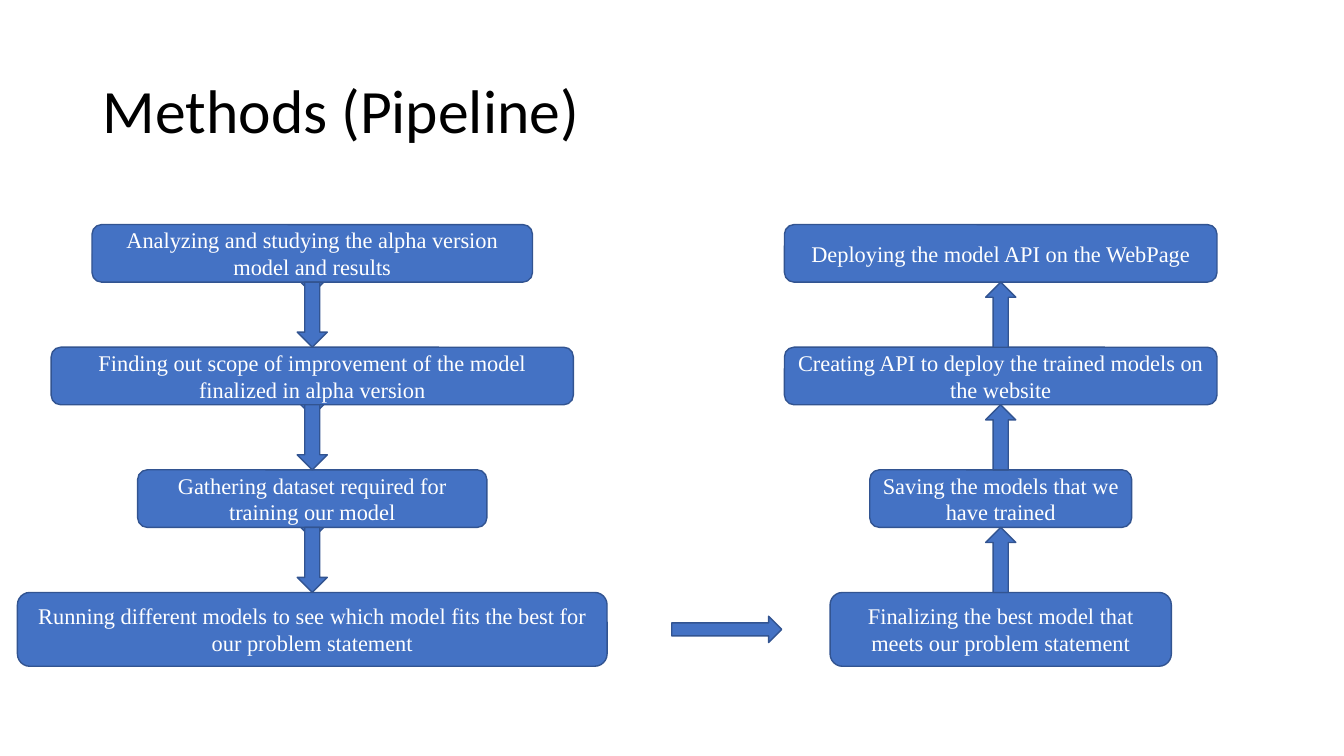
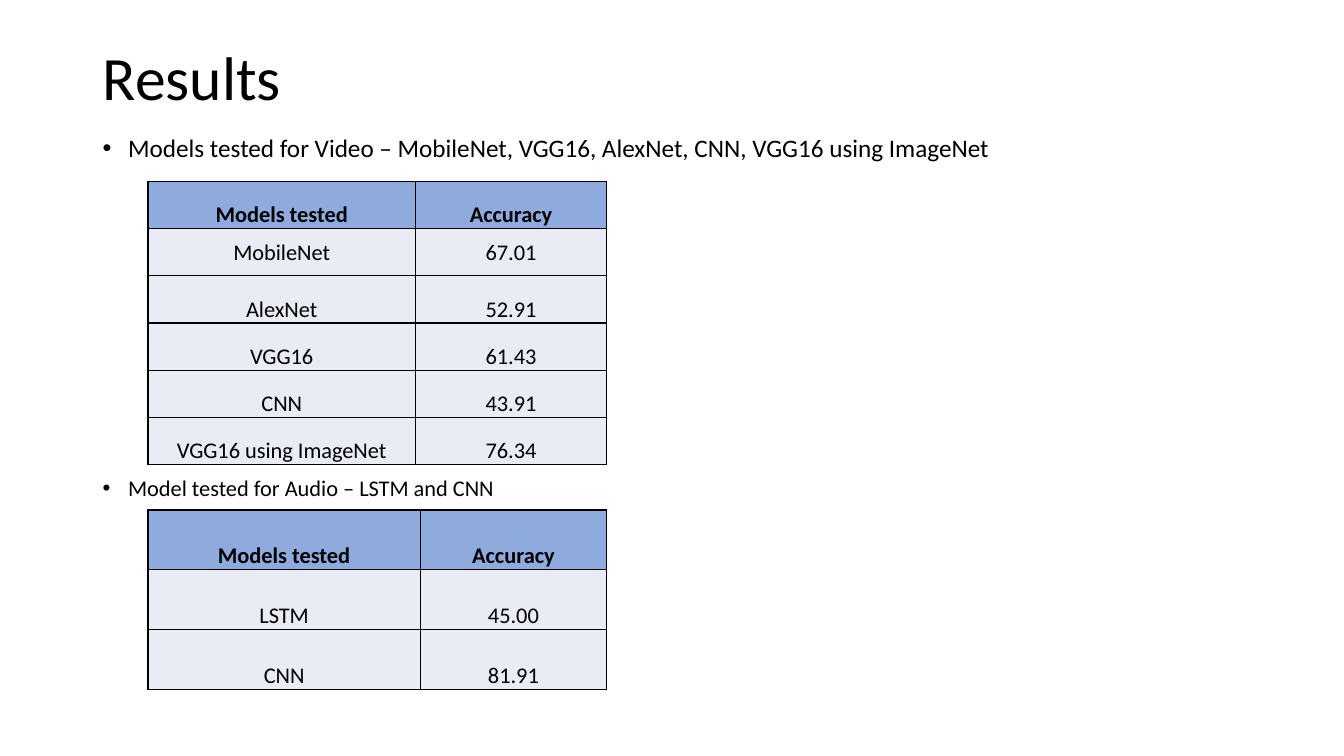
from lxml.etree import SubElement
from pptx import Presentation
from pptx.dml.color import RGBColor
from pptx.enum.shapes import MSO_SHAPE
from pptx.enum.text import MSO_ANCHOR, PP_ALIGN
from pptx.oxml.ns import qn
from pptx.util import Cm, Pt

BLACK = RGBColor(0x00, 0x00, 0x00)
WHITE = RGBColor(0xFF, 0xFF, 0xFF)
BLUE = RGBColor(0x44, 0x72, 0xC4)
DARK_BLUE = RGBColor(0x32, 0x54, 0x91)
HEADER_BLUE = RGBColor(0x8F, 0xAA, 0xDC)
PALE_BLUE = RGBColor(0xE9, 0xEB, 0xF5)
SANS, SERIF = "Calibri", "Times New Roman"

# All lengths below are centimetres.
MARGIN, CONTENT_WIDTH = 2.34, 29.2

# Each step, from top to bottom: text, width, height
LEFT_STEPS = [
    ("Analyzing and studying the alpha version model and results", 11.1, 1.45),
    ("Finding out scope of improvement of the model finalized in alpha version", 13.16, 1.45),
    ("Gathering dataset required for training our model", 8.8, 1.45),
    ("Running different models to see which model fits the best for our problem statement", 14.86, 1.86),
]
RIGHT_STEPS = [
    ("Deploying the model API on the WebPage", 10.9, 1.45),
    ("Creating API to deploy the trained models on the website", 10.9, 1.45),
    ("Saving the models that we have trained", 6.6, 1.45),
    ("Finalizing the best model that meets our problem statement", 8.6, 1.86),
]
LEFT_CENTER, RIGHT_CENTER = 7.87, 25.22
STEPS_TOP, STEP_PITCH = 5.66, 3.09
ARROW_WIDTH, ARROW_HEIGHT = 0.76, 1.64
TIP_OFFSET = 0.1

VIDEO_ROWS = [
    ("Models tested", "Accuracy"),
    ("MobileNet", "67.01"),
    ("AlexNet", "52.91"),
    ("VGG16", "61.43"),
    ("CNN", "43.91"),
    ("VGG16 using ImageNet", "76.34"),
]
AUDIO_ROWS = [
    ("Models tested", "Accuracy"),
    ("LSTM", "45.00"),
    ("CNN", "81.91"),
]
# Heading, its size and top, then the table's rows, top, column widths, row height
RESULTS = [
    ("Models tested for Video – MobileNet, VGG16, AlexNet, CNN, VGG16 using ImageNet",
     18, 3.3, VIDEO_ROWS, 4.57, (6.74, 4.82), 1.19),
    ("Model tested for Audio – LSTM and CNN",
     16, 11.91, AUDIO_ROWS, 12.85, (6.86, 4.7), 1.51),
]
TABLE_LEFT = 3.73


def add_span(para, text, size, font=SANS, color=BLACK, bold=False):
    span = para.add_run()
    span.text = text
    span.font.size = Pt(size)
    span.font.name = font
    span.font.bold = bold
    span.font.color.rgb = color


def add_line(page, text, size, top, height, anchor=MSO_ANCHOR.TOP):
    """Add a full-width text box and return its paragraph."""
    box = page.shapes.add_textbox(Cm(MARGIN), Cm(top), Cm(CONTENT_WIDTH), Cm(height))
    box.text_frame.word_wrap = True
    box.text_frame.vertical_anchor = anchor
    para = box.text_frame.paragraphs[0]
    para.line_spacing = 0.9
    add_span(para, text, size)
    return para


def add_title(page, text, height):
    add_line(page, text, 44, 1.01, height, MSO_ANCHOR.MIDDLE)


def add_bullet(para):
    properties = para._p.get_or_add_pPr()
    properties.set("marL", str(Cm(0.64)))
    properties.set("indent", str(-Cm(0.64)))
    SubElement(properties, qn("a:buFont"), typeface="Arial")
    SubElement(properties, qn("a:buChar"), char="•")


def add_block(page, kind, left, top, width, height):
    block = page.shapes.add_shape(kind, Cm(left), Cm(top), Cm(width), Cm(height))
    block.shadow.inherit = False
    block.fill.solid()
    block.fill.fore_color.rgb = BLUE
    block.line.color.rgb = DARK_BLUE
    block.line.width = Pt(1)
    return block


def add_arrow(page, kind, center, top):
    add_block(page, kind, center - ARROW_WIDTH / 2, top, ARROW_WIDTH, ARROW_HEIGHT)


def add_steps(page, steps, center, arrow_kind, with_tips=False):
    """Stack the steps on a centre line, with an arrow in each gap.

    Tips are arrows behind the boxes whose points show below them.
    """
    tops = [STEPS_TOP + STEP_PITCH * index for index in range(len(steps))]
    if with_tips:
        for top in tops[:-1]:
            add_arrow(page, MSO_SHAPE.DOWN_ARROW, center, top + TIP_OFFSET)
    for top, (text, width, height) in zip(tops, steps):
        box = add_block(page, MSO_SHAPE.ROUNDED_RECTANGLE, center - width / 2, top, width, height)
        box.text_frame.word_wrap = True
        box.text_frame.vertical_anchor = MSO_ANCHOR.MIDDLE
        para = box.text_frame.paragraphs[0]
        para.alignment = PP_ALIGN.CENTER
        add_span(para, text, 16, SERIF, WHITE)
    for top, (_, _, height) in zip(tops[:-1], steps):
        add_arrow(page, arrow_kind, center, top + height)


def add_borders(cell):
    properties = cell._tc.get_or_add_tcPr()
    for side in ("lnL", "lnR", "lnT", "lnB"):
        border = SubElement(properties, qn(f"a:{side}"), w=str(Pt(1)))
        fill = SubElement(border, qn("a:solidFill"))
        SubElement(fill, qn("a:srgbClr"), val=str(BLACK))


def add_results_table(page, rows, top, widths, row_height):
    frame = page.shapes.add_table(len(rows), len(widths), Cm(TABLE_LEFT), Cm(top),
                                  Cm(sum(widths)), Cm(row_height * len(rows)))
    table = frame.table
    for column, width in zip(table.columns, widths):
        column.width = Cm(width)
    for row_index, values in enumerate(rows):
        table.rows[row_index].height = Cm(row_height)
        is_header = row_index == 0
        for column_index, value in enumerate(values):
            cell = table.cell(row_index, column_index)
            add_borders(cell)
            cell.fill.solid()
            cell.fill.fore_color.rgb = HEADER_BLUE if is_header else PALE_BLUE
            cell.margin_left = cell.margin_right = cell.margin_top = Cm(0.03)
            cell.margin_bottom = 0
            is_middle = values[0] == "MobileNet"
            cell.vertical_anchor = MSO_ANCHOR.MIDDLE if is_middle else MSO_ANCHOR.BOTTOM
            para = cell.text_frame.paragraphs[0]
            para.alignment = PP_ALIGN.CENTER
            add_span(para, value, 16, bold=is_header)


def build_methods(page):
    add_title(page, "Methods (Pipeline)", 3.68)
    add_steps(page, RIGHT_STEPS, RIGHT_CENTER, MSO_SHAPE.UP_ARROW)
    add_steps(page, LEFT_STEPS, LEFT_CENTER, MSO_SHAPE.DOWN_ARROW, with_tips=True)
    add_block(page, MSO_SHAPE.RIGHT_ARROW, 16.93, 15.53, 2.77, 0.66)


def build_results(page):
    add_title(page, "Results", 2.06)
    for heading, size, heading_top, rows, top, widths, row_height in RESULTS:
        add_bullet(add_line(page, heading, size, heading_top, 1))
        add_results_table(page, rows, top, widths, row_height)


def main():
    deck = Presentation()
    deck.slide_width, deck.slide_height = Cm(33.87), Cm(19.05)
    for build in (build_methods, build_results):
        build(deck.slides.add_slide(deck.slide_layouts[6]))
    deck.save("out.pptx")


if __name__ == "__main__":
    main()
